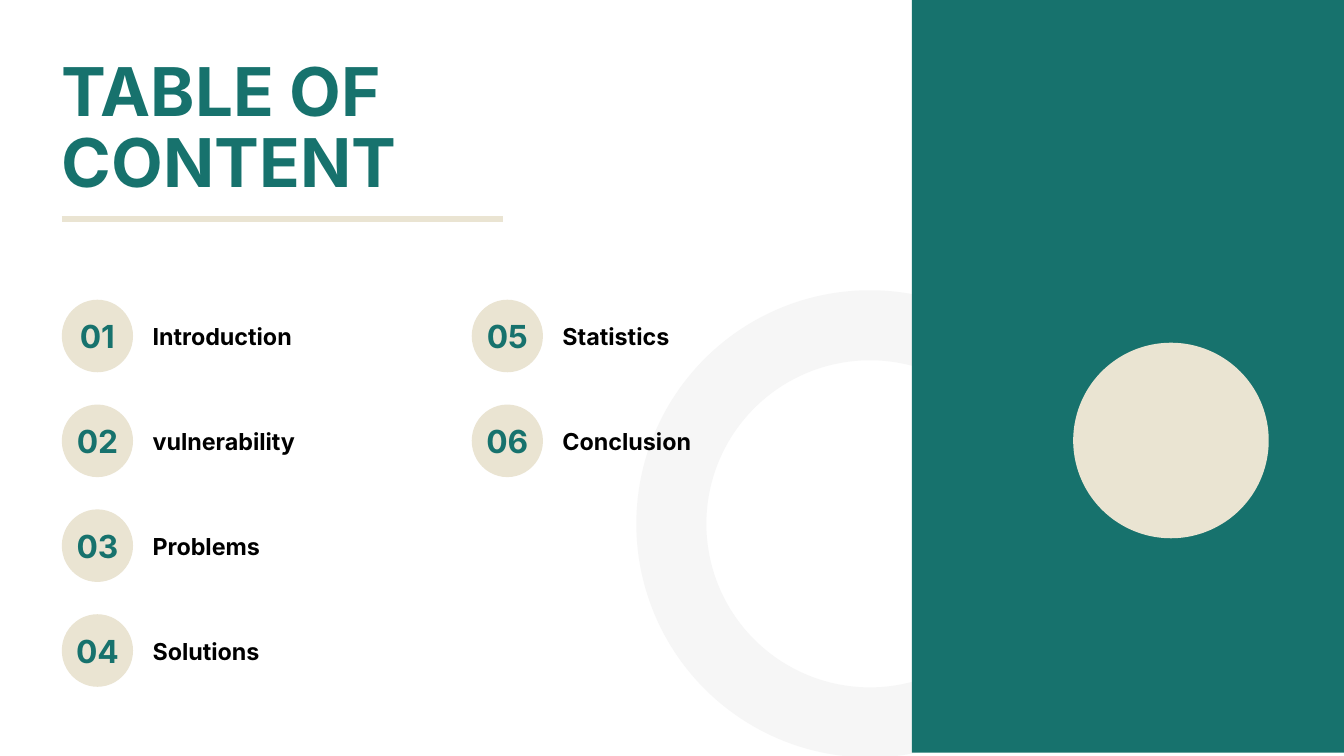
import pptx
import pptx.util
import pptx.dml.color
import pptx.enum.shapes
import pptx.enum.text
from lxml import etree

Inches, Pt = pptx.util.Inches, pptx.util.Pt
SHAPE = pptx.enum.shapes.MSO_SHAPE
ALIGN = pptx.enum.text.PP_ALIGN
ANCHOR = pptx.enum.text.MSO_ANCHOR
AUTO_SIZE = pptx.enum.text.MSO_AUTO_SIZE

TITLE = "TABLE OF CONTENT"
COLUMNS = [
    (0.92, ["Introduction", "vulnerability", "Problems", "Solutions"]),
    (7.02, ["Statistics", "Conclusion"]),
]
TEAL, SAND, PALE, BLACK = "17726D", "EAE4D2", "F6F6F6", "000000"
FONT = "Inter"
FIRST_TOP, ROW_STEP = 4.46, 1.56


def rgb(hex_color):
    return pptx.dml.color.RGBColor.from_string(hex_color)


def add_filled(slide, kind, box, color):
    shape = slide.shapes.add_shape(kind, *map(Inches, box))
    shape.shadow.inherit = False
    shape.fill.solid()
    shape.fill.fore_color.rgb = rgb(color)
    shape.line.fill.background()
    return shape


def set_text(shape, text, size, color, spacing, margin=0.0,
             align=ALIGN.LEFT, anchor=ANCHOR.TOP, auto_size=AUTO_SIZE.SHAPE_TO_FIT_TEXT):
    """Write one bold paragraph with exact line spacing in points."""
    frame = shape.text_frame
    frame.word_wrap = True
    frame.auto_size = auto_size
    frame.vertical_anchor = anchor
    frame.margin_left = frame.margin_right = Inches(margin)
    frame.margin_top = frame.margin_bottom = Inches(margin)
    frame.text = text
    paragraph = frame.paragraphs[0]
    paragraph.alignment = align
    paragraph.line_spacing = Pt(spacing)
    paragraph.font.name = FONT
    paragraph.font.size = Pt(size)
    paragraph.font.bold = True
    paragraph.font.color.rgb = rgb(color)


def add_decoration(slide):
    ring = slide.shapes.add_shape(SHAPE.OVAL, *map(Inches, (9.99, 4.84, 5.91, 5.91)))
    ring.shadow.inherit = False
    ring.fill.background()
    ring.line.color.rgb = rgb(PALE)
    ring.line.width = Pt(75)
    add_filled(slide, SHAPE.RECTANGLE, (13.57, -0.05, 10.11, 11.25), TEAL)
    add_filled(slide, SHAPE.OVAL, (15.97, 5.1, 2.91, 2.91), SAND)


def add_heading(slide):
    title = slide.shapes.title
    title.left, title.top, title.width, title.height = map(Inches, (0.92, 0.89, 7.83, 2.13))
    set_text(title, TITLE, 72, TEAL, 75.6)
    rule = slide.shapes.add_connector(
        pptx.enum.shapes.MSO_CONNECTOR.STRAIGHT, *map(Inches, (0.92, 3.26, 7.49, 3.26)))
    rule.line.color.rgb = rgb(SAND)
    rule.line.width = Pt(6)
    etree.SubElement(rule._element.spPr, pptx.oxml.ns.qn("a:effectLst"))


def add_entry(slide, number, label, left, top):
    add_filled(slide, SHAPE.OVAL, (left, top, 1.06, 1.08), SAND)
    number_box = slide.shapes.add_textbox(*map(Inches, (left + 0.1, top, 0.86, 0.98)))
    set_text(number_box, f"{number:02d}", 34, TEAL, 47.6, margin=0.05,
             align=ALIGN.CENTER, anchor=ANCHOR.MIDDLE, auto_size=AUTO_SIZE.NONE)
    label_box = slide.shapes.add_textbox(*map(Inches, (left + 1.35, top + 0.27, 3.95, 0.47)))
    set_text(label_box, label, 25, BLACK, 35)


def main():
    deck = pptx.Presentation()
    deck.slide_width, deck.slide_height = Inches(20), Inches(11.25)
    slide = deck.slides.add_slide(deck.slide_layouts.get_by_name("Title Only"))
    add_decoration(slide)
    add_heading(slide)
    number = 0
    for left, labels in COLUMNS:
        for row, label in enumerate(labels):
            number += 1
            add_entry(slide, number, label, left, FIRST_TOP + row * ROW_STEP)
    deck.save("out.pptx")


if __name__ == "__main__":
    main()
